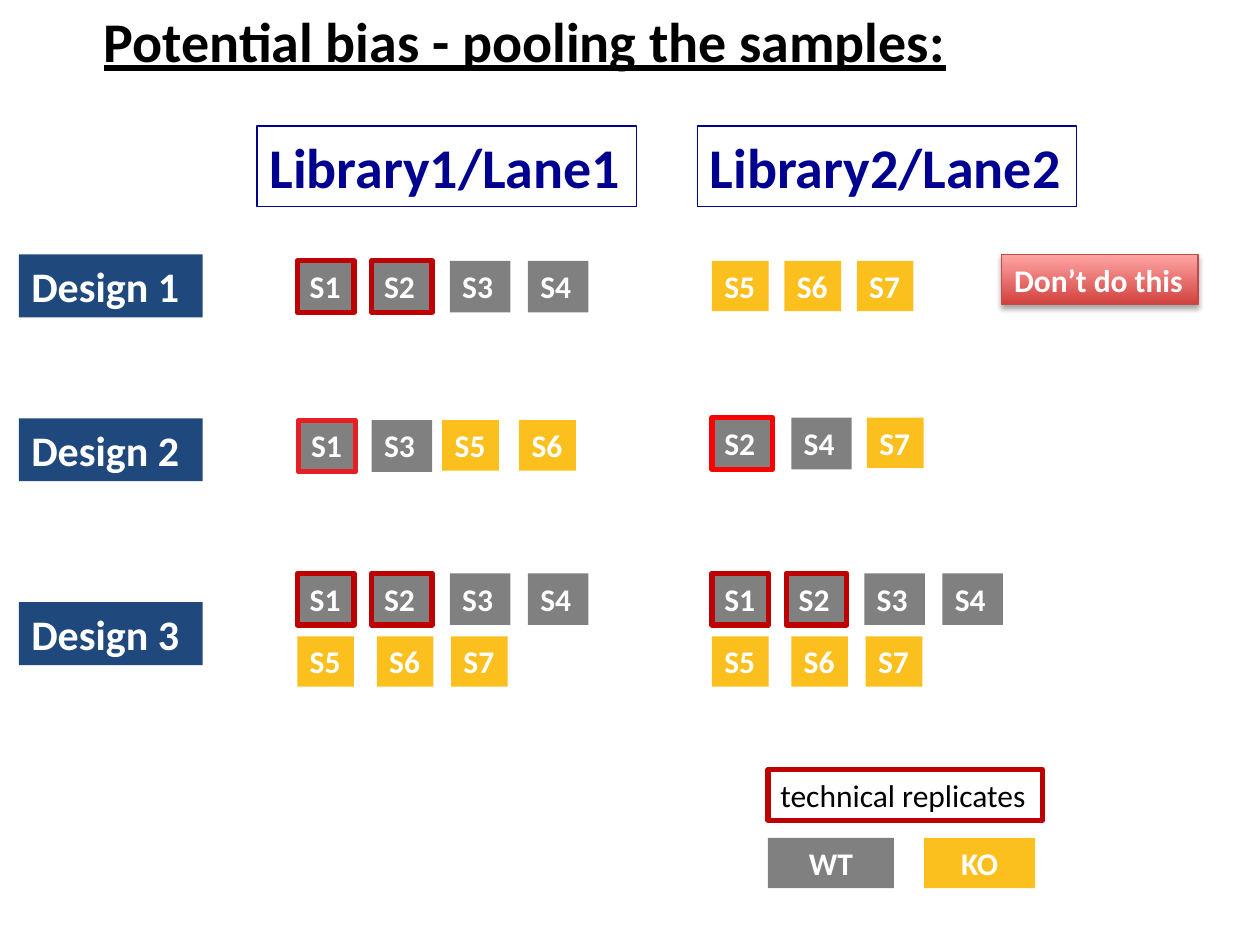
from lxml import etree
from pptx import Presentation
from pptx import util as u
from pptx.dml.color import RGBColor
from pptx.enum import shapes, text
from pptx.oxml import ns

BLACK = RGBColor(0x00, 0x00, 0x00)
WHITE = RGBColor(0xFF, 0xFF, 0xFF)
NAVY = RGBColor(0x00, 0x00, 0x90)
BLUE = RGBColor(0x1F, 0x49, 0x7D)
GRAY = RGBColor(0x80, 0x80, 0x80)
YELLOW = RGBColor(0xFB, 0xC0, 0x1E)
DARK_RED = RGBColor(0xBE, 0x02, 0x04)
MID_RED = RGBColor(0xE6, 0x1F, 0x25)
RED = RGBColor(0xFF, 0x00, 0x00)
WARNING_DARK = RGBColor(0xD1, 0x40, 0x3C)
WARNING_LIGHT = RGBColor(0xFF, 0xA6, 0xA5)
WARNING_LINE = RGBColor(0xBF, 0x4C, 0x48)

WIDTH, HEIGHT = u.Inches(10), u.Inches(7.5)
COLUMN, ROW = WIDTH / 100, HEIGHT / 75  # the slide is a grid of 100 x 75 cells

LABEL_LEFT, LANE_1, LANE_2 = 1.5, 23.6, 56.5
WILD_TYPE = ("S1", "S2", "S3", "S4")
KNOCKOUT = ("S5", "S6", "S7")
REPLICATES = ("S1", "S2")
WT_STEPS = (0, 5.9, 12.1, 18.3)
KO_STEPS = (0, 6.3, 12.2)

# Each design: label top, then lanes as (left, top, samples, steps, outline)
DESIGNS = {
    "Design 1": (20.2, [
        (LANE_1, 20.7, WILD_TYPE, WT_STEPS, DARK_RED),
        (LANE_2, 20.7, KNOCKOUT, (0, 5.75, 11.5), None),
    ]),
    "Design 2": (33.2, [
        (LANE_1, 33.35, ("S1", "S3", "S5", "S6"), (0.1, 5.9, 11.5, 17.6), MID_RED),
        (LANE_2, 33.15, ("S2", "S4", "S7"), (0, 6.3, 12.3), RED),
    ]),
    "Design 3": (47.8, [
        (left, top, samples, steps, DARK_RED)
        for left in (LANE_1, LANE_2)
        for top, samples, steps in ((45.5, WILD_TYPE, WT_STEPS),
                                    (50.5, KNOCKOUT, KO_STEPS))
    ]),
}


def add_box(parent, box, words, fill=None, line=None, line_width=3, center=False, **font):
    """Add a labelled rectangle; box is left, top, width, height in grid cells."""
    left, top, width, height = box
    shape = parent.shapes.add_shape(
        shapes.MSO_SHAPE.RECTANGLE, round(left * COLUMN), round(top * ROW),
        round(width * COLUMN), round(height * ROW))
    shape.shadow.inherit = False
    if fill is None:
        shape.fill.background()
    else:
        shape.fill.solid()
        shape.fill.fore_color.rgb = fill
    if line is None:
        shape.line.fill.background()
    else:
        shape.line.color.rgb = line
        shape.line.width = u.Pt(line_width)
    frame = shape.text_frame
    frame.word_wrap = True
    frame.vertical_anchor = text.MSO_ANCHOR.TOP
    paragraph = frame.paragraphs[0]
    paragraph.alignment = text.PP_ALIGN.CENTER if center else text.PP_ALIGN.LEFT
    run = paragraph.add_run()
    run.text = words
    color = font.pop("color", WHITE)
    values = {"name": "Calibri", "size": u.Pt(18), "bold": True, **font}
    for name, value in values.items():
        setattr(run.font, name, value)
    run.font.color.rgb = color
    return shape


def add_lane(parent, left, top, samples, steps, outline):
    for sample, step in zip(samples, steps):
        wild = sample in WILD_TYPE
        width = 4.8 if wild and sample != "S1" else 4.5
        add_box(parent, (left + step, top, width, 4.1 if wild else 4), sample,
                fill=GRAY if wild else YELLOW,
                line=outline if sample in REPLICATES else None)


def add_design(slide, label, top, lanes):
    group = slide.shapes.add_group_shape()
    add_box(group, (LABEL_LEFT, top, 14.6, 5), label, fill=BLUE, size=u.Pt(24))
    for lane in lanes:
        add_lane(group, *lane)


def add_headings(slide):
    add_box(slide, (0, 0, 83.3, 7.9), "Potential bias - pooling the samples:",
            center=True, color=BLACK, size=u.Pt(32), underline=True)
    for left, words in ((20.4, "Library1/Lane1"), (55.35, "Library2/Lane2")):
        add_box(slide, (left, 10, 30.1, 6.4), words, line=NAVY, line_width=0.75,
                color=NAVY, size=u.Pt(32))


def add_legend(slide, left, top):
    add_box(slide, (left, top, 21.8, 4), "technical replicates", line=DARK_RED,
            color=BLACK, bold=False)
    add_box(slide, (left, top + 5.4, 10, 4), "WT", fill=GRAY, center=True)
    add_box(slide, (left + 12.4, top + 5.4, 8.8, 4), "KO", fill=YELLOW, center=True)


def add_warning(slide, box):
    shape = add_box(slide, box, "Don’t do this", line=WARNING_LINE, line_width=0.75)
    shape.fill.gradient()
    shape.fill.gradient_angle = 90
    for stop, color in zip(shape.fill.gradient_stops, (WARNING_DARK, WARNING_LIGHT)):
        stop.color.rgb = color
    effects = shape.element.spPr.find(ns.qn("a:effectLst"))
    shadow = etree.SubElement(effects, ns.qn("a:outerShdw"), blurRad="40000",
                              dist="23000", dir="5400000", rotWithShape="0")
    color = etree.SubElement(shadow, ns.qn("a:srgbClr"), val=str(BLACK))
    etree.SubElement(color, ns.qn("a:alpha"), val="35000")


def main():
    presentation = Presentation()
    presentation.slide_width, presentation.slide_height = WIDTH, HEIGHT
    slide = presentation.slides.add_slide(presentation.slide_layouts[6])
    add_headings(slide)
    for label, (top, lanes) in DESIGNS.items():
        add_design(slide, label, top, lanes)
    add_legend(slide, 60.95, 61.1)
    add_warning(slide, (79.5, 20.2, 15.6, 4))
    presentation.save("out.pptx")


if __name__ == "__main__":
    main()
